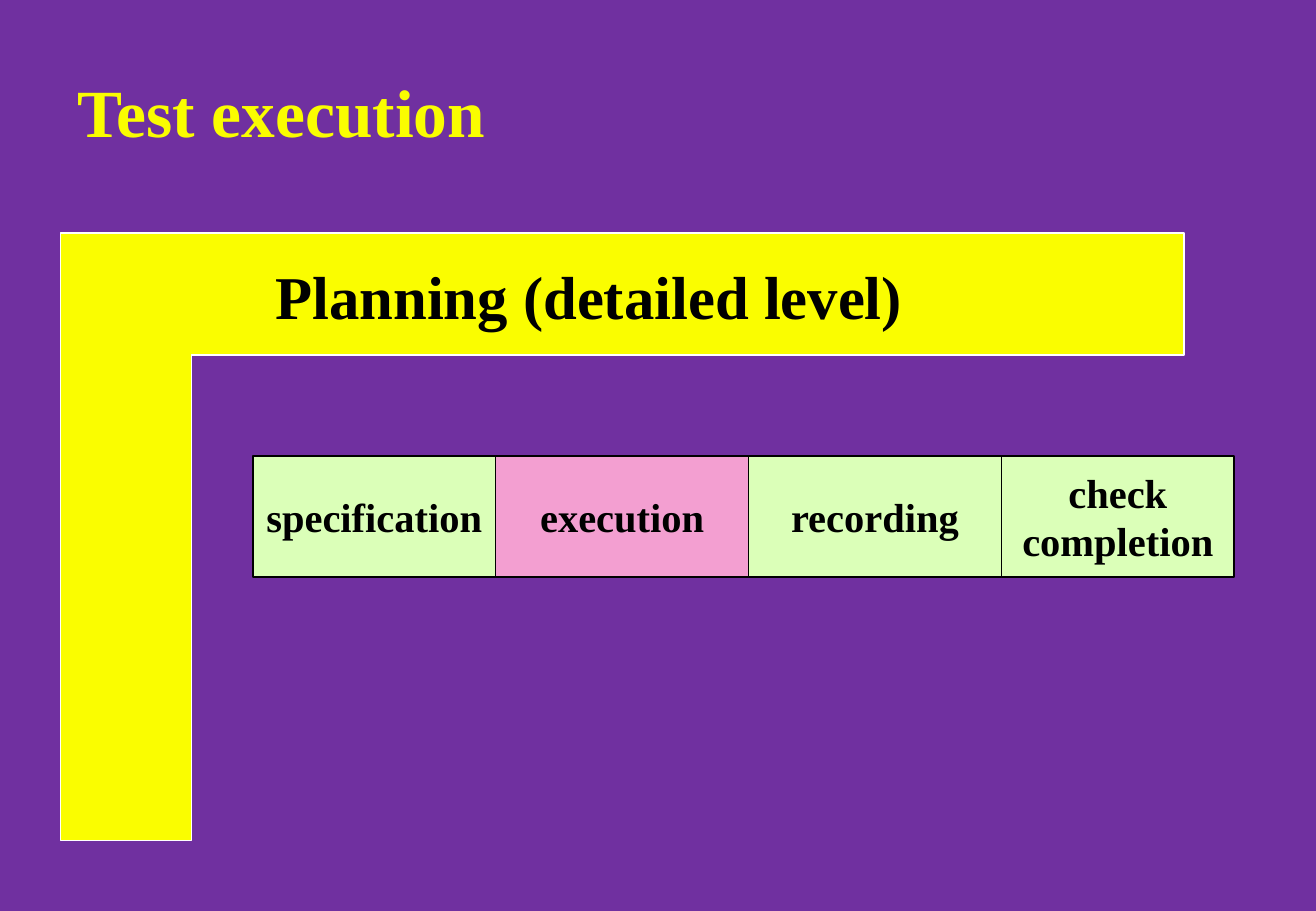
from dataclasses import dataclass

from pptx import Presentation
from pptx.dml.color import RGBColor
from pptx.enum.shapes import MSO_SHAPE
from pptx.enum.text import MSO_ANCHOR, MSO_AUTO_SIZE, PP_ALIGN
from pptx.shapes.autoshape import Shape
from pptx.slide import Slide
from pptx.text.text import TextFrame
from pptx.util import Cm, Pt

COLOURS = {
    "background": "7030A0",
    "planning": "FAFD00",
    "step": "DBFFB8",
    "current": "F39FD1",
    "dark": "000000",
    "light": "FFFFFF",
}
FONT = "Times New Roman"
TITLE_ONLY = 5

STEPS_LEFT, STEPS_TOP, STEPS_HEIGHT = 5.29, 9.53, 2.54
PLANNING_OUTLINE = [
    (1.27, 4.88), (24.77, 4.88), (24.77, 7.42),
    (4.01, 7.42), (4.01, 17.58), (1.27, 17.58),
]


@dataclass(frozen=True)
class Step:
    label: str
    width: float
    fill: str = "step"


STEPS = [
    Step("specification", 5.08),
    Step("execution", 5.29, "current"),
    Step("recording", 5.29),
    Step("check\ncompletion", 4.87),
]


def colour(name: str) -> RGBColor:
    return RGBColor.from_string(COLOURS[name])


def write(frame: TextFrame, text: str, *, size: int, ink: str = "dark",
          align: PP_ALIGN = PP_ALIGN.LEFT, anchor: MSO_ANCHOR = MSO_ANCHOR.MIDDLE,
          wrap: bool = False) -> None:
    """Fill the frame with bold text, one paragraph per line."""
    frame.text = text
    frame.word_wrap = wrap
    frame.auto_size = MSO_AUTO_SIZE.NONE
    frame.vertical_anchor = anchor
    for paragraph in frame.paragraphs:
        paragraph.alignment = align
        for run in paragraph.runs:
            run.font.name = FONT
            run.font.size = Pt(size)
            run.font.bold = True
            run.font.color.rgb = colour(ink)


def paint(shape: Shape, fill: str, line: str) -> None:
    shape.shadow.inherit = False
    shape.fill.solid()
    shape.fill.fore_color.rgb = colour(fill)
    shape.line.color.rgb = colour(line)
    shape.line.width = Pt(1)


def add_title(slide: Slide) -> None:
    title = slide.shapes.title
    title.left, title.top = Cm(1.37), Cm(1.47)
    title.width, title.height = Cm(23.39), Cm(1.7)
    write(title.text_frame, "Test execution", size=40, ink="planning", wrap=True)


def add_planning(slide: Slide) -> None:
    start, *corners = [(Cm(x), Cm(y)) for x, y in PLANNING_OUTLINE]
    builder = slide.shapes.build_freeform(*start)
    builder.add_line_segments(corners, close=True)
    paint(builder.convert_to_shape(), "planning", "light")

    heading = slide.shapes.add_textbox(Cm(5.51), Cm(5.28), Cm(13.61), Cm(1.78))
    write(heading.text_frame, "Planning (detailed level)", size=36,
          anchor=MSO_ANCHOR.TOP)


def add_steps(slide: Slide) -> None:
    left = STEPS_LEFT
    for step in STEPS:
        box = slide.shapes.add_shape(MSO_SHAPE.RECTANGLE, Cm(left), Cm(STEPS_TOP),
                                     Cm(step.width), Cm(STEPS_HEIGHT))
        paint(box, step.fill, "dark")
        write(box.text_frame, step.label, size=24, align=PP_ALIGN.CENTER)
        left += step.width


def main() -> None:
    deck = Presentation()
    deck.slide_width, deck.slide_height = Cm(27.53), Cm(19.05)
    slide = deck.slides.add_slide(deck.slide_layouts[TITLE_ONLY])
    slide.background.fill.solid()
    slide.background.fill.fore_color.rgb = colour("background")
    add_title(slide)
    add_steps(slide)
    add_planning(slide)
    deck.save("out.pptx")


if __name__ == "__main__":
    main()
